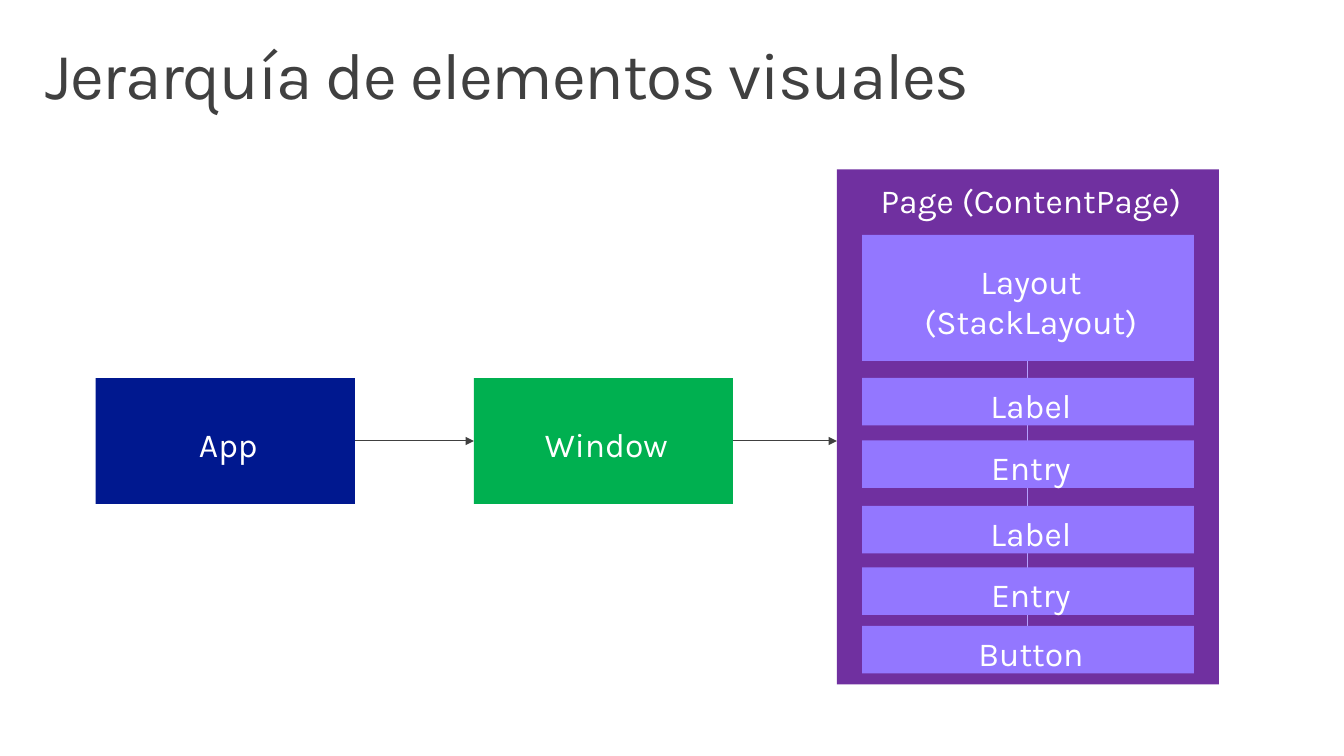
from dataclasses import dataclass
from pptx import Presentation
from pptx.dml.color import RGBColor
from pptx.enum.shapes import MSO_CONNECTOR, MSO_SHAPE
from pptx.enum.text import MSO_ANCHOR, PP_ALIGN
from pptx.oxml.ns import qn
from pptx.util import Inches, Pt
from lxml.etree import SubElement


@dataclass(frozen=True)
class Theme:
    """Colours, font and type sizes of the slide."""
    font: str = "Karla"
    title_size: float = 47
    box_size: float = 24
    dark: str = "404040"
    white: str = "FFFFFF"
    app: str = "00188F"
    window: str = "00B050"
    page: str = "7030A0"
    control: str = "9377FF"
    branch: str = "B4A0FF"


THEME = Theme()

TITLE = "Jerarquía de elementos visuales"
PAGE = "Page (ContentPage)"
LAYOUT = "Layout (StackLayout)"
# Text and left edge of each step before the page
STEPS = [("App", 0.95, THEME.app), ("Window", 4.7, THEME.window)]
# Text and top edge of each control stacked in the layout
CONTROLS = [("Label", 3.75), ("Entry", 4.37), ("Label", 5.02),
            ("Entry", 5.63), ("Button", 6.21)]

STEP_TOP, STEP_W, BLOCK_H = 3.75, 2.57, 1.25
PAGE_X, PAGE_Y, PAGE_W, PAGE_H = 8.3, 1.68, 3.79, 5.11
MARGIN, LAYOUT_Y, CONTROL_H = 0.25, 2.33, 0.47


def style_text(tf, size, color, align, insets):
    """Set insets, alignment and font of a text frame."""
    tf.word_wrap = True
    tf.margin_left, tf.margin_top, tf.margin_right, tf.margin_bottom = map(Inches, insets)
    for p in tf.paragraphs:
        p.alignment = align
        for r in p.runs:
            r.font.name = THEME.font
            r.font.size = Pt(size)
            r.font.color.rgb = RGBColor.from_string(color)


def add_title(s):
    """Fill and place the title placeholder."""
    sp = s.shapes.title
    sp.left, sp.top, sp.width, sp.height = map(Inches, (0.29, 0.32, 12.75, 0.98))
    tf = sp.text_frame
    tf.text = TITLE
    tf.vertical_anchor = MSO_ANCHOR.TOP
    style_text(tf, THEME.title_size, THEME.dark, PP_ALIGN.LEFT, (0.16, 0.1, 0.16, 0.1))
    p = tf.paragraphs[0]
    p.line_spacing = 0.9
    p.runs[0].font._element.set("spc", "-100")


def add_box(s, text, x, y, w, h, fill, anchor=MSO_ANCHOR.MIDDLE):
    """Add a plain filled rectangle with centred white text."""
    sp = s.shapes.add_shape(MSO_SHAPE.RECTANGLE, *map(Inches, (x, y, w, h)))
    sp.shadow.inherit = False
    sp.fill.solid()
    sp.fill.fore_color.rgb = RGBColor.from_string(fill)
    sp.line.fill.background()
    tf = sp.text_frame
    tf.text = text
    tf.vertical_anchor = anchor
    style_text(tf, THEME.box_size, THEME.white, PP_ALIGN.CENTER, (0.1, 0.1, 0.04, 0.04))
    return sp


def add_line(s, x1, y1, x2, y2, color):
    """Add a thin straight connector without shadow."""
    cx = s.shapes.add_connector(MSO_CONNECTOR.STRAIGHT, *map(Inches, (x1, y1, x2, y2)))
    cx.line.color.rgb = RGBColor.from_string(color)
    cx.line.width = Pt(0.75)
    SubElement(cx._element.spPr, qn("a:effectLst"))
    return cx


def add_arrow(s, start, end):
    """Join the right side of one box to the left side of the next."""
    cx = add_line(s, 0, 0, 1, 1, THEME.dark)
    cx.begin_connect(start, 3)
    cx.end_connect(end, 1)
    # The page is taller than the steps, so keep the arrow level
    cx.end_y = cx.begin_y
    SubElement(cx.line._get_or_add_ln(), qn("a:tailEnd"), type="triangle")


def add_page_content(s):
    """Add the layout, its branch line and the controls on the page."""
    x, w = PAGE_X + MARGIN, PAGE_W - 2 * MARGIN
    add_box(s, LAYOUT, x, LAYOUT_Y, w, BLOCK_H, THEME.control)
    mid = x + w / 2
    add_line(s, mid, LAYOUT_Y + BLOCK_H, mid, CONTROLS[-1][1] + CONTROL_H, THEME.branch)
    for text, y in CONTROLS:
        add_box(s, text, x, y, w, CONTROL_H, THEME.control)


prs = Presentation()
prs.slide_width, prs.slide_height = Inches(13.33), Inches(7.5)
s = prs.slides.add_slide(prs.slide_layouts[5])
add_title(s)
boxes = [add_box(s, text, x, STEP_TOP, STEP_W, BLOCK_H, fill) for text, x, fill in STEPS]
boxes.append(add_box(s, PAGE, PAGE_X, PAGE_Y, PAGE_W, PAGE_H, THEME.page, MSO_ANCHOR.TOP))
for start, end in zip(boxes, boxes[1:]):
    add_arrow(s, start, end)
add_page_content(s)
prs.save("out.pptx")
